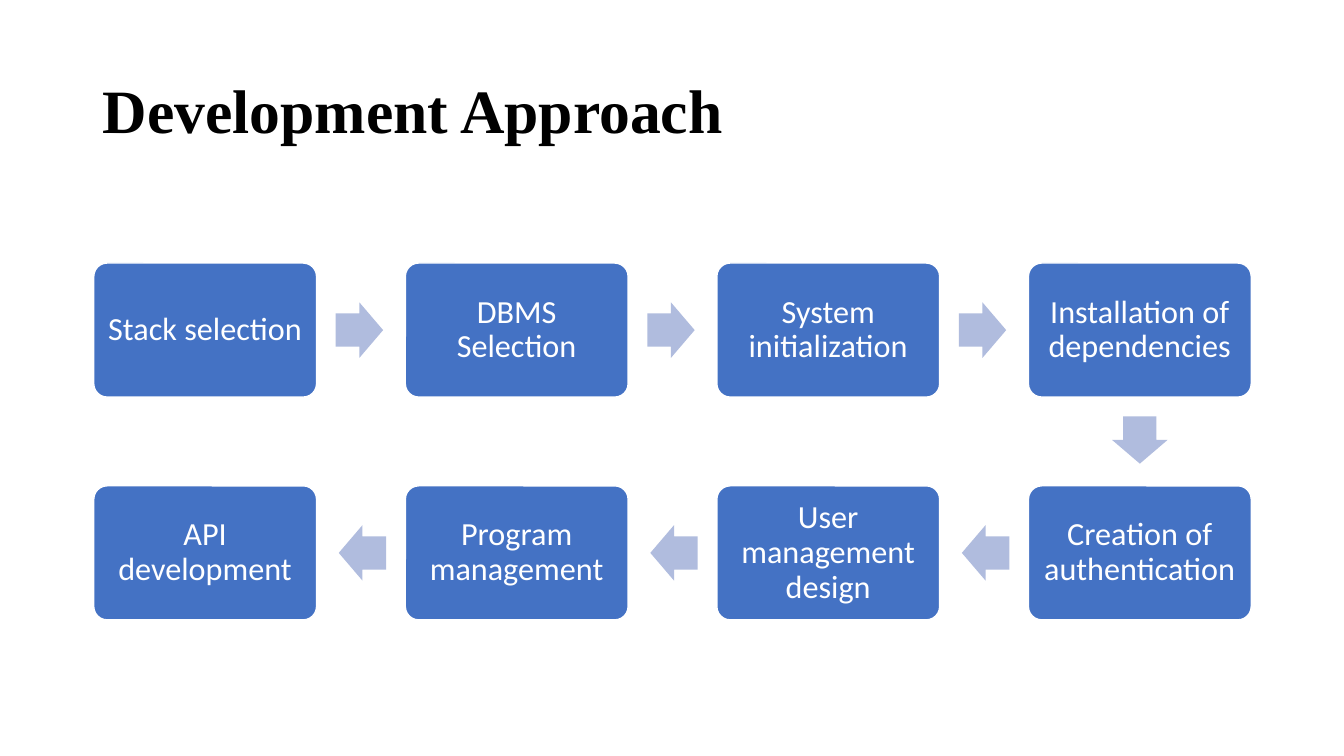
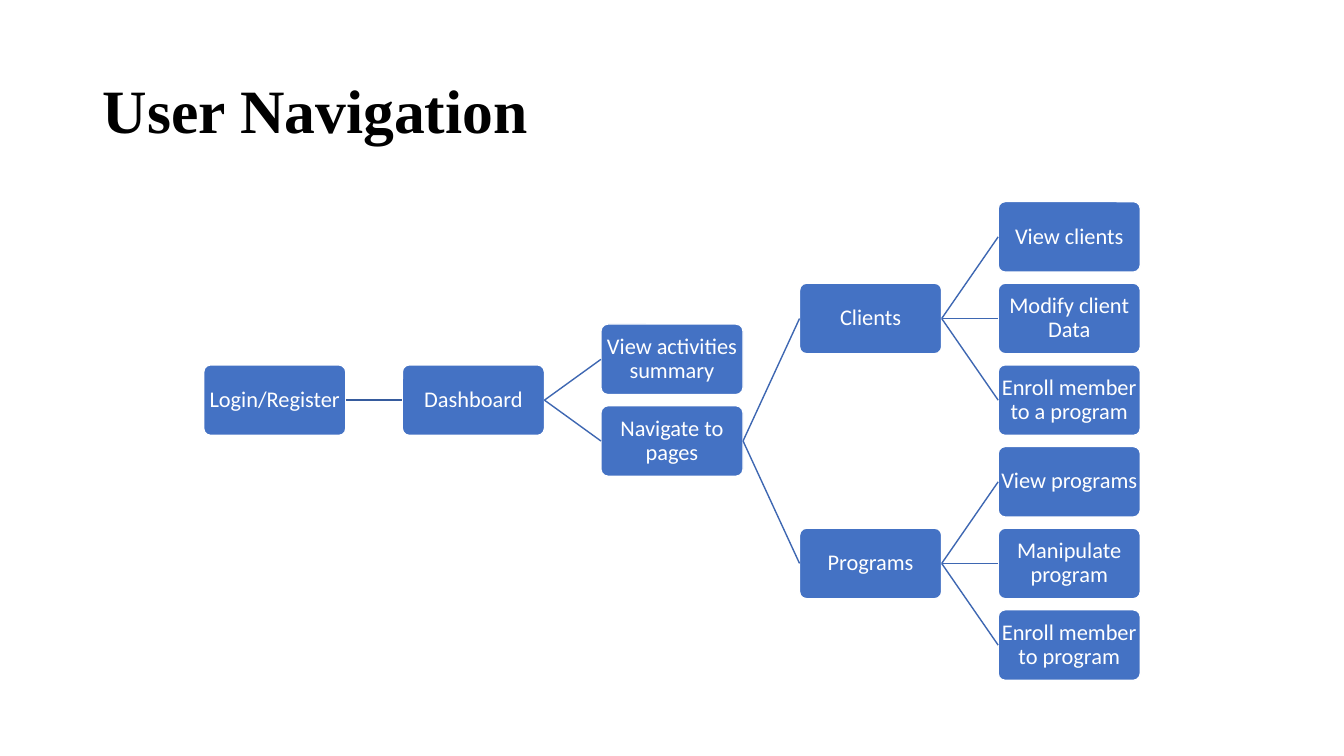
from lxml import etree
from pptx import Presentation
from pptx.dml.color import RGBColor
from pptx.enum import shapes, text
from pptx.oxml import ns
from pptx.util import Inches, Pt

BLUE, PALE, WHITE, BLACK = "4472C4", "B0BCDE", "FFFFFF", "000000"
TRUNK, BRANCH = "365B9D", "3E67B2"
HEAD, BODY = "Times New Roman", "Calibri"
KIND = shapes.MSO_SHAPE

STEPS = [
    "Stack selection", "DBMS Selection", "System initialization",
    "Installation of dependencies", "Creation of authentication",
    "User management design", "Program management", "API development",
]

NODES = [
    ("Login/Register", 0, 2, None),
    ("Dashboard", 1, 2, "Login/Register"),
    ("View activities summary", 2, 1.5, "Dashboard"),
    ("Navigate to pages", 2, 2.5, "Dashboard"),
    ("Clients", 3, 1, "Navigate to pages"),
    ("View clients", 4, 0, "Clients"),
    ("Modify client Data", 4, 1, "Clients"),
    ("Enroll member to a program", 4, 2, "Clients"),
    ("Programs", 3, 4, "Navigate to pages"),
    ("View programs", 4, 3, "Programs"),
    ("Manipulate program", 4, 4, "Programs"),
    ("Enroll member to program", 4, 5, "Programs"),
]


def color(value):
    return RGBColor.from_string(value)


def write(shape, words, size, font, tint, bold=False, align=None):
    frame = shape.text_frame
    frame.word_wrap = True
    frame.vertical_anchor = text.MSO_ANCHOR.MIDDLE
    frame.text = words
    para = frame.paragraphs[0]
    para.alignment = align
    para.line_spacing = 0.9
    face = para.runs[0].font
    face.name, face.size, face.bold = font, Pt(size), bold
    face.color.rgb = color(tint)


def add_slide(deck, title):
    slide = deck.slides.add_slide(deck.slide_layouts[6])
    box = slide.shapes.add_textbox(
        Inches(0.92), Inches(0.4), Inches(11.5), Inches(1.45))
    write(box, title, 44, HEAD, BLACK, bold=True)
    return slide


def add_shape(slide, kind, left, top, width, height, fill):
    shape = slide.shapes.add_shape(
        kind, Inches(left), Inches(top), Inches(width), Inches(height))
    shape.shadow.inherit = False
    shape.fill.solid()
    shape.fill.fore_color.rgb = color(fill)
    return shape


def add_box(slide, words, left, top, width, height, size, inset):
    box = add_shape(slide, KIND.ROUNDED_RECTANGLE,
                    left, top, width, height, BLUE)
    box.adjustments[0] = 0.1
    box.line.color.rgb = color(WHITE)
    box.line.width = Pt(1)
    frame = box.text_frame
    frame.margin_left = frame.margin_right = Inches(inset)
    frame.margin_top = frame.margin_bottom = Inches(inset)
    write(box, words, size, BODY, WHITE, align=text.PP_ALIGN.CENTER)
    return box


def add_arrow(slide, left, top, turn):
    arrow = add_shape(slide, KIND.RIGHT_ARROW, left, top, 0.47, 0.55, PALE)
    arrow.adjustments[0] = 0.6
    arrow.adjustments[1] = 0.5
    arrow.line.fill.background()
    arrow.rotation = turn


def add_link(slide, start, end, tint):
    link = slide.shapes.add_connector(
        shapes.MSO_CONNECTOR.STRAIGHT, 0, 0, 0, 0)
    link.begin_connect(start, 3)
    link.end_connect(end, 1)
    link.line.color.rgb = color(tint)
    link.line.width = Pt(1)
    etree.SubElement(link._element.spPr, ns.qn("a:effectLst"))


def build_steps(deck):
    slide = add_slide(deck, "Development Approach")
    count = len(STEPS) // 2
    for index, words in enumerate(STEPS):
        row, place = divmod(index, count)
        col = count - 1 - place if row else place
        left, top = 0.93 + 3.09 * col, 2.61 + 2.21 * row
        add_box(slide, words, left, top, 2.21, 1.33, 23, 0.1)
        if index == count - 1:
            add_arrow(slide, left + 0.87, top + 1.48, 90)
        elif row == 0:
            add_arrow(slide, left + 2.4, top + 0.39, 0)
        elif col > 0:
            add_arrow(slide, left - 0.66, top + 0.39, 180)


def build_tree(deck):
    slide = add_slide(deck, "User Navigation")
    boxes = {}
    for words, col, row, parent in NODES:
        boxes[words] = add_box(slide, words, 2.02 + 1.97 * col,
                               2 + 0.81 * row, 1.41, 0.7, 16, 0.01)
        if parent:
            add_link(slide, boxes[parent], boxes[words],
                     TRUNK if col == 1 else BRANCH)


def main():
    deck = Presentation()
    deck.slide_width, deck.slide_height = Inches(13.33), Inches(7.5)
    build_steps(deck)
    build_tree(deck)
    deck.save("out.pptx")


if __name__ == "__main__":
    main()
